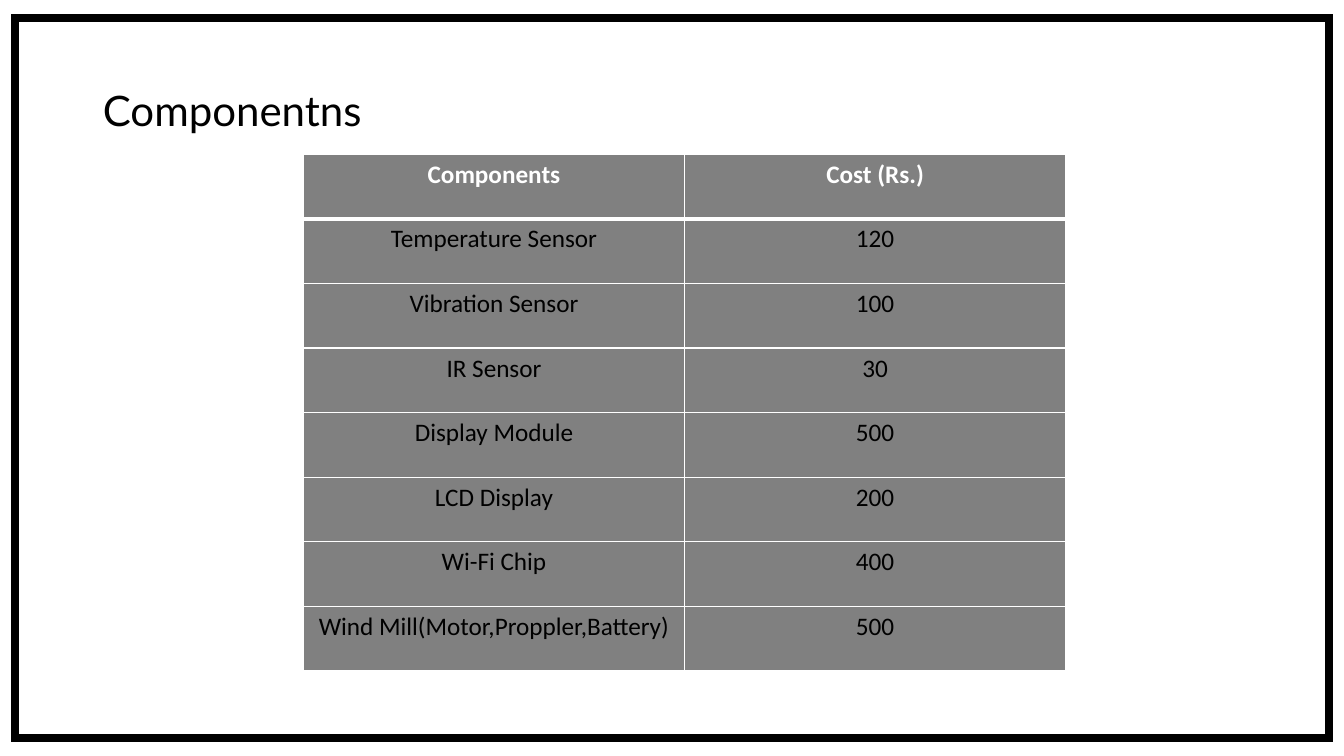
import lxml.etree
import pptx
import pptx.dml.color
import pptx.enum.shapes
import pptx.enum.text
import pptx.oxml.ns
import pptx.util

BLACK, WHITE, GRAY = "000000", "FFFFFF", "808080"
COMPONENTS = [
    ("Components", "Cost (Rs.)"),
    ("Temperature Sensor", "120"),
    ("Vibration Sensor", "100"),
    ("IR Sensor", "30"),
    ("Display Module", "500"),
    ("LCD Display", "200"),
    ("Wi-Fi Chip", "400"),
    ("Wind Mill(Motor,Proppler,Battery)", "500"),
]


def px(n):
    return pptx.util.Emu(n * 9144)


def rgb(color):
    return pptx.dml.color.RGBColor.from_string(color)


class Deck:
    title_font = "Lato"
    body_font = "Calibri"

    def __init__(self, width, height):
        self.prs = pptx.Presentation()
        self.prs.slide_width, self.prs.slide_height = px(width), px(height)
        self.s = self.prs.slides.add_slide(self.prs.slide_layouts[5])

    def run(self, p, text, font, size, color, bold=False):
        r = p.add_run()
        r.text = text
        r.font.name, r.font.size, r.font.bold = font, pptx.util.Pt(size), bold
        r.font.color.rgb = rgb(color)

    def frame(self, x, y, w, h, color, width):
        kind = pptx.enum.shapes.MSO_SHAPE.RECTANGLE
        sp = self.s.shapes.add_shape(kind, px(x), px(y), px(w), px(h))
        sp.shadow.inherit = False
        sp.fill.solid()
        sp.fill.fore_color.rgb = rgb(WHITE)
        sp.line.color.rgb = rgb(color)
        sp.line.width = pptx.util.Pt(width)
        ln = sp.element.spPr.find(pptx.oxml.ns.qn("a:ln"))
        lxml.etree.SubElement(ln, pptx.oxml.ns.qn("a:miter"), lim="800000")
        self.s.shapes.title.element.addprevious(sp.element)

    def title(self, text, x, y, w, h):
        sp = self.s.shapes.title
        sp.left, sp.top, sp.width, sp.height = px(x), px(y), px(w), px(h)
        tf = sp.text_frame
        tf.word_wrap = True
        tf.auto_size = pptx.enum.text.MSO_AUTO_SIZE.NONE
        tf.vertical_anchor = pptx.enum.text.MSO_ANCHOR.MIDDLE
        p = tf.paragraphs[0]
        p.alignment = pptx.enum.text.PP_ALIGN.LEFT
        p.line_spacing = 0.9
        self.run(p, text, self.title_font, 30, BLACK)

    def borders(self, cell, bottom):
        tc_pr = cell._tc.get_or_add_tcPr()
        for i, (side, width) in enumerate(
            [("lnL", 1), ("lnR", 1), ("lnT", 1), ("lnB", bottom)]
        ):
            ln = lxml.etree.Element(pptx.oxml.ns.qn(f"a:{side}"), w=str(pptx.util.Pt(width)))
            fill = lxml.etree.SubElement(ln, pptx.oxml.ns.qn("a:solidFill"))
            lxml.etree.SubElement(fill, pptx.oxml.ns.qn("a:srgbClr"), val=WHITE)
            tc_pr.insert(i, ln)

    def table(self, rows, x, y, w, h):
        shape = self.s.shapes.add_table(len(rows), len(rows[0]), px(x), px(y), px(w), px(h))
        for i, row in enumerate(rows):
            header = i == 0
            for j, text in enumerate(row):
                cell = shape.table.cell(i, j)
                cell.fill.solid()
                cell.fill.fore_color.rgb = rgb(GRAY)
                self.borders(cell, 3 if header else 1)
                p = cell.text_frame.paragraphs[0]
                p.alignment = pptx.enum.text.PP_ALIGN.CENTER
                self.run(p, text, self.body_font, 18, WHITE if header else BLACK, header)


def main():
    deck = Deck(1333, 750)
    deck.frame(15, 18, 1303, 714, BLACK, 6)
    deck.title("Componentns", 92, 40, 1150, 145)
    deck.table(COMPONENTS, 301, 153, 756, 513)
    deck.prs.save("out.pptx")


if __name__ == "__main__":
    main()
